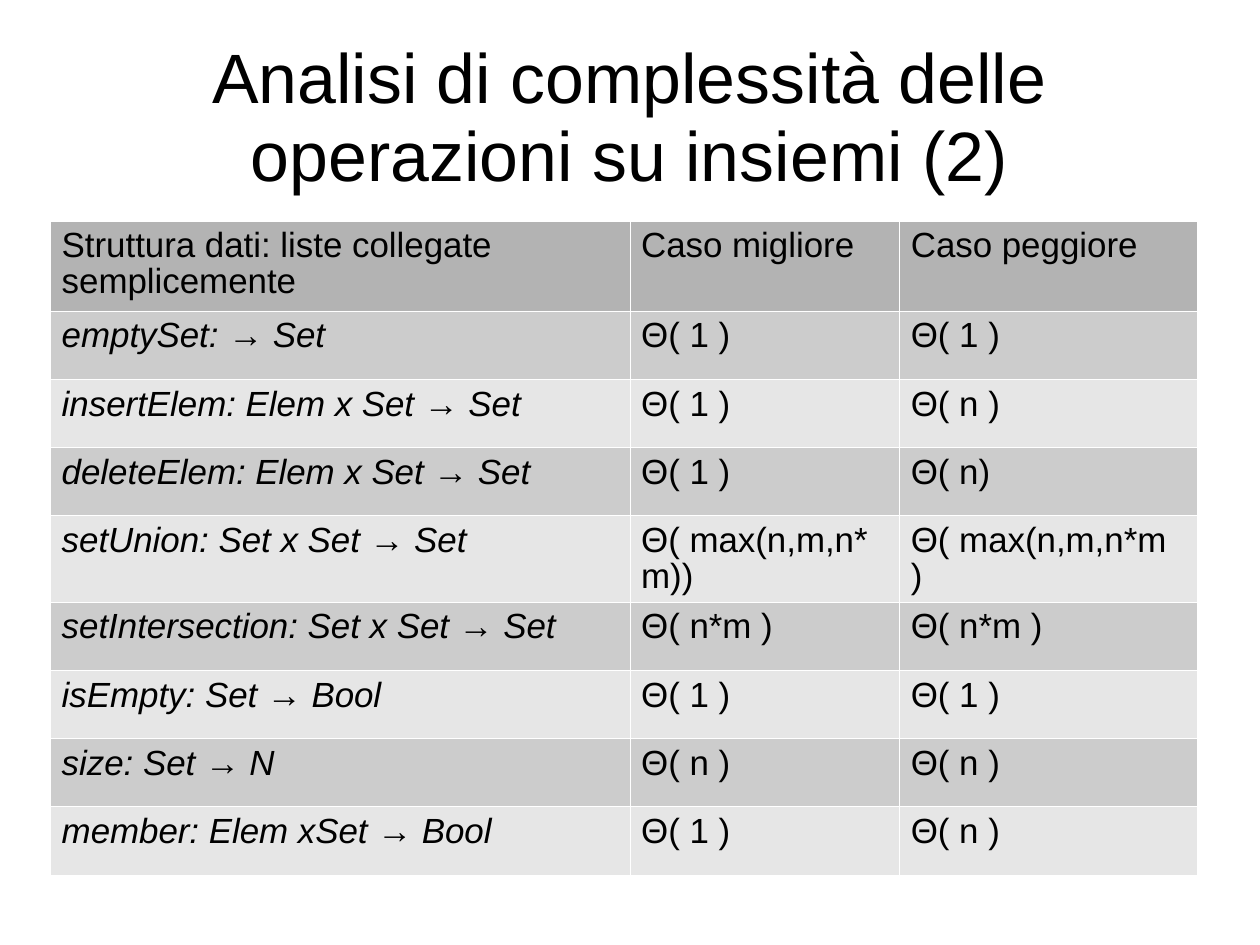
import pptx
import pptx.util
import pptx.dml.color
import pptx.enum.text
import pptx.oxml
import pptx.oxml.ns

Inches, Pt = pptx.util.Inches, pptx.util.Pt


def color(value):
    return pptx.dml.color.RGBColor.from_string(value)


def format_paragraph(p, size):
    p.line_spacing = 0.93
    p.font.name = "Arial"
    p.font.size = Pt(size)
    p.font.color.rgb = color("000000")


# Slide of 28 by 21 cm, in whole quarter points
prs = pptx.Presentation()
prs.slide_width, prs.slide_height = Pt(793.75), Pt(595.25)
s = prs.slides.add_slide(prs.slide_layouts[5])

# Title
title = s.shapes.title
title.left, title.top = Inches(0.55), Inches(0.33)
title.width, title.height = Inches(9.92), Inches(1.38)
tf = title.text_frame
tf.text = "Analisi di complessità delle operazioni su insiemi (2)"
tf.word_wrap = True
tf.auto_size = pptx.enum.text.MSO_AUTO_SIZE.NONE
tf.vertical_anchor = pptx.enum.text.MSO_ANCHOR.MIDDLE
tf.margin_left = tf.margin_right = tf.margin_bottom = 0
tf.margin_top = Inches(0.04)
p = tf.paragraphs[0]
p.alignment = pptx.enum.text.PP_ALIGN.CENTER
format_paragraph(p, 44)

# Complexity of each operation: signature, best case, worst case
rows = [
    ("Struttura dati: liste collegate semplicemente", "Caso migliore", "Caso peggiore"),
    ("emptySet: → Set", "Θ( 1 )", "Θ( 1 )"),
    ("insertElem: Elem x Set → Set", "Θ( 1 )", "Θ( n )"),
    ("deleteElem: Elem x Set → Set", "Θ( 1 )", "Θ( n)"),
    ("setUnion: Set x Set → Set", "Θ( max(n,m,n*m))", "Θ( max(n,m,n*m )"),
    ("setIntersection: Set x Set → Set", "Θ( n*m )", "Θ( n*m )"),
    ("isEmpty: Set → Bool", "Θ( 1 )", "Θ( 1 )"),
    ("size: Set → N", "Θ( n )", "Θ( n )"),
    ("member: Elem xSet → Bool", "Θ( 1 )", "Θ( n )"),
]
table = s.shapes.add_table(len(rows), 3, Inches(0.44), Inches(1.93),
                           Inches(10.03), Inches(5.79)).table
for column, width in zip(table.columns, (5.07, 2.36, 2.6)):
    column.width = Inches(width)

for i, texts in enumerate(rows):
    table.rows[i].height = Pt(43) if i else Inches(0.79)
    fill = ("CCCCCC" if i % 2 else "E6E6E6") if i else "B3B3B3"
    for j, text in enumerate(texts):
        cell = table.cell(i, j)
        cell.text = text
        cell.margin_left = cell.margin_right = Inches(0.1)
        cell.margin_top, cell.margin_bottom = Inches(0.07), Inches(0.05)
        p = cell.text_frame.paragraphs[0]
        format_paragraph(p, 22)
        p.font.bold = False
        p.font.italic = i > 0 and j == 0

        # Thin white borders, which precede the fill in the cell's XML
        for side in "LRTB":
            cell._tc.get_or_add_tcPr().append(pptx.oxml.parse_xml(
                f'<a:ln{side} {pptx.oxml.ns.nsdecls("a")} w="762"><a:solidFill>'
                f'<a:srgbClr val="FFFFFF"/></a:solidFill></a:ln{side}>'))
        cell.fill.solid()
        cell.fill.fore_color.rgb = color(fill)

prs.save("out.pptx")
